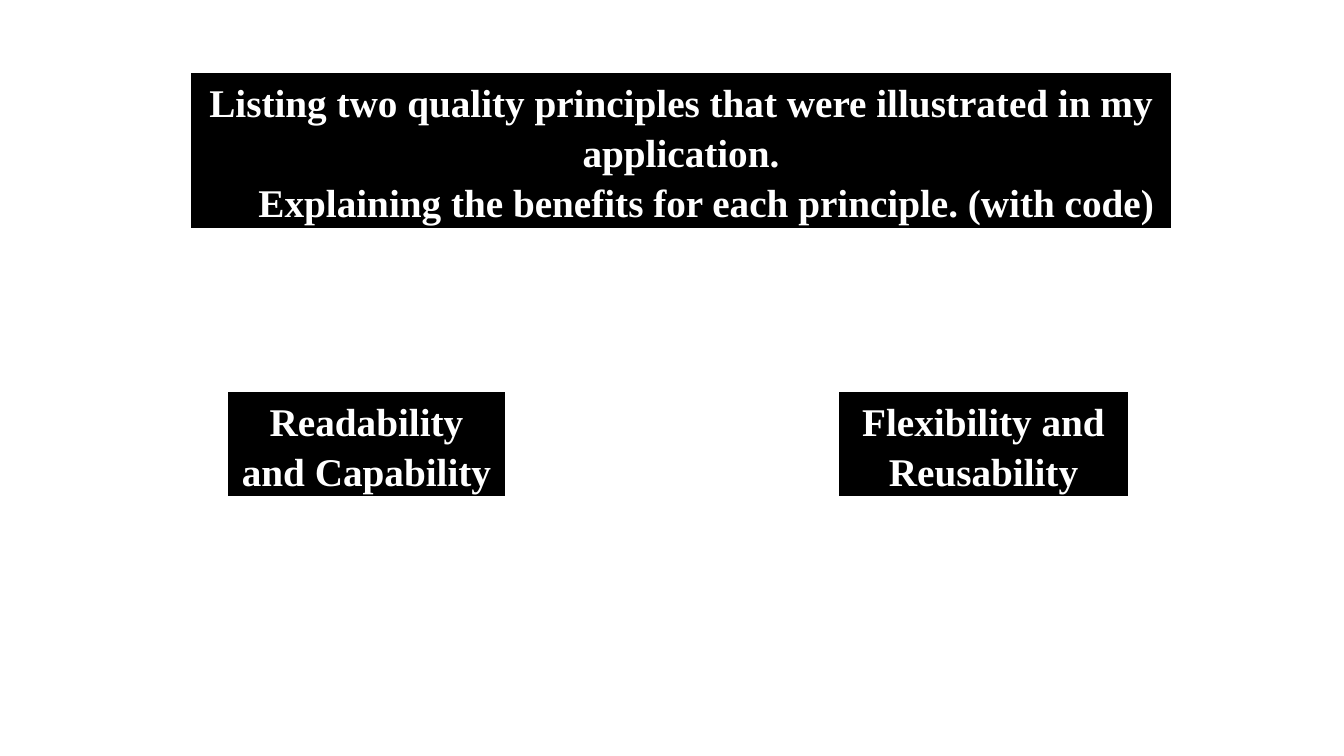
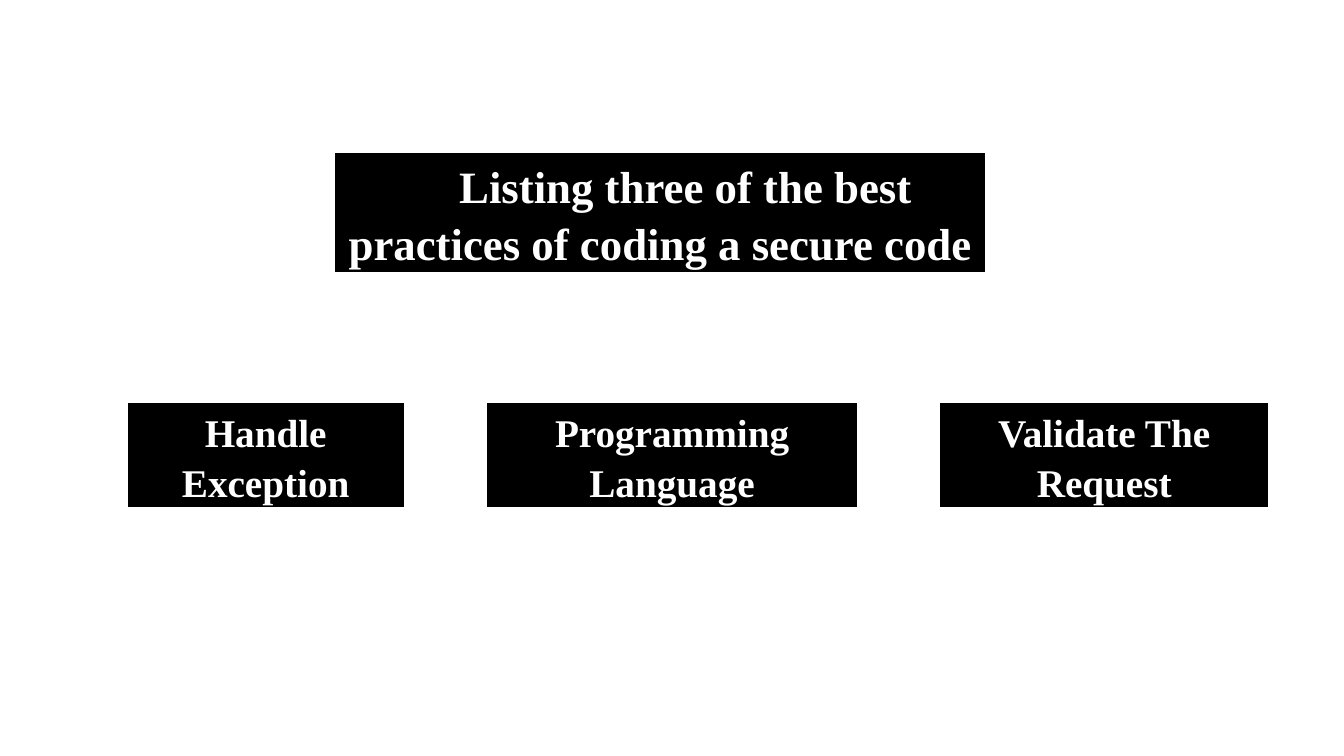
"""Build two slides of black captions that sum up code quality and secure coding."""
from pptx import Presentation
from pptx.dml.color import RGBColor
from pptx.enum.shapes import MSO_SHAPE as SHAPE
from pptx.enum.text import MSO_ANCHOR as ANCHOR, MSO_AUTO_SIZE as FIT, PP_ALIGN as ALIGN
from pptx.util import Inches, Pt

COLORS = {"paper": "FFFFFF", "box": "000000", "edge": "FFFFFF", "text": "FFFFFF"}
FONT = "Times New Roman"
WIDTH, HEIGHT = Inches(13.33), Inches(7.5)
ROW_HEIGHT = 14.27


def rgb(name):
    """Return the named colour."""
    return RGBColor.from_string(COLORS[name])


def across(share):
    """Turn a percentage of the slide width into a length."""
    return int(WIDTH * share / 100)


def down(share):
    """Turn a percentage of the slide height into a length."""
    return int(HEIGHT * share / 100)


def add_slide(prs):
    """Add a blank slide with the shared background."""
    s = prs.slides.add_slide(prs.slide_layouts[6])
    s.background.fill.solid()
    s.background.fill.fore_color.rgb = rgb("paper")
    return s


def add_text(p, text, size=28, spacing=1.06, after=0, margin=0, first=0):
    """Write bold centred text into a paragraph, with indents in inches."""
    p.alignment = ALIGN.CENTER
    p.line_spacing = spacing
    p.space_after = Pt(after)
    pPr = p._p.get_or_add_pPr()
    pPr.set("marL", str(Inches(margin)))
    pPr.set("indent", str(Inches(first)))
    r = p.add_run()
    r.text = text
    r.font.name = FONT
    r.font.size = Pt(size)
    r.font.bold = True
    r.font.color.rgb = rgb("text")


def add_box(s, left, top, width, height):
    """Add a black box placed by percentages and return its text frame."""
    sp = s.shapes.add_shape(SHAPE.RECTANGLE, across(left), down(top),
                            across(width), down(height))
    sp.shadow.inherit = False
    sp.fill.solid()
    sp.fill.fore_color.rgb = rgb("box")
    sp.line.color.rgb = rgb("edge")
    sp.line.width = Pt(2.25)
    tf = sp.text_frame
    tf.word_wrap = True
    tf.auto_size = FIT.SHAPE_TO_FIT_TEXT
    tf.vertical_anchor = ANCHOR.MIDDLE
    return tf


def add_row(s, left, top, gap, items):
    """Add a row of captions, given as text and width, with equal gaps."""
    for text, width in items:
        tf = add_box(s, left, top, width, ROW_HEIGHT)
        add_text(tf.paragraphs[0], text, after=8)
        left += width + gap


def add_principles(prs):
    """Build the slide on quality principles."""
    s = add_slide(prs)
    tf = add_box(s, 14.1, 9.47, 73.14, 20.93)
    add_text(tf.paragraphs[0],
             "Listing two quality principles that were illustrated in my application.")
    add_text(tf.add_paragraph(),
             "Explaining the benefits for each principle. (with code)", margin=0.5)
    add_row(s, 16.88, 51.6, 24.68, [("Readability and Capability", 20.78),
                                    ("Flexibility and Reusability", 21.68)])


def add_practices(prs):
    """Build the slide on secure coding practices."""
    s = add_slide(prs)
    tf = add_box(s, 24.83, 20, 48.61, 16.13)
    add_text(tf.paragraphs[0],
             "Listing three of the best practices of coding a secure code",
             size=32, spacing=1.07, after=8, first=0.5)
    add_row(s, 9.38, 53.07, 5.93, [("Handle Exception", 20.78),
                                   ("Programming Language", 27.83),
                                   ("Validate The Request", 24.61)])


def main():
    """Build and save the presentation."""
    prs = Presentation()
    prs.slide_width, prs.slide_height = WIDTH, HEIGHT
    add_principles(prs)
    add_practices(prs)
    prs.save("out.pptx")


if __name__ == "__main__":
    main()
